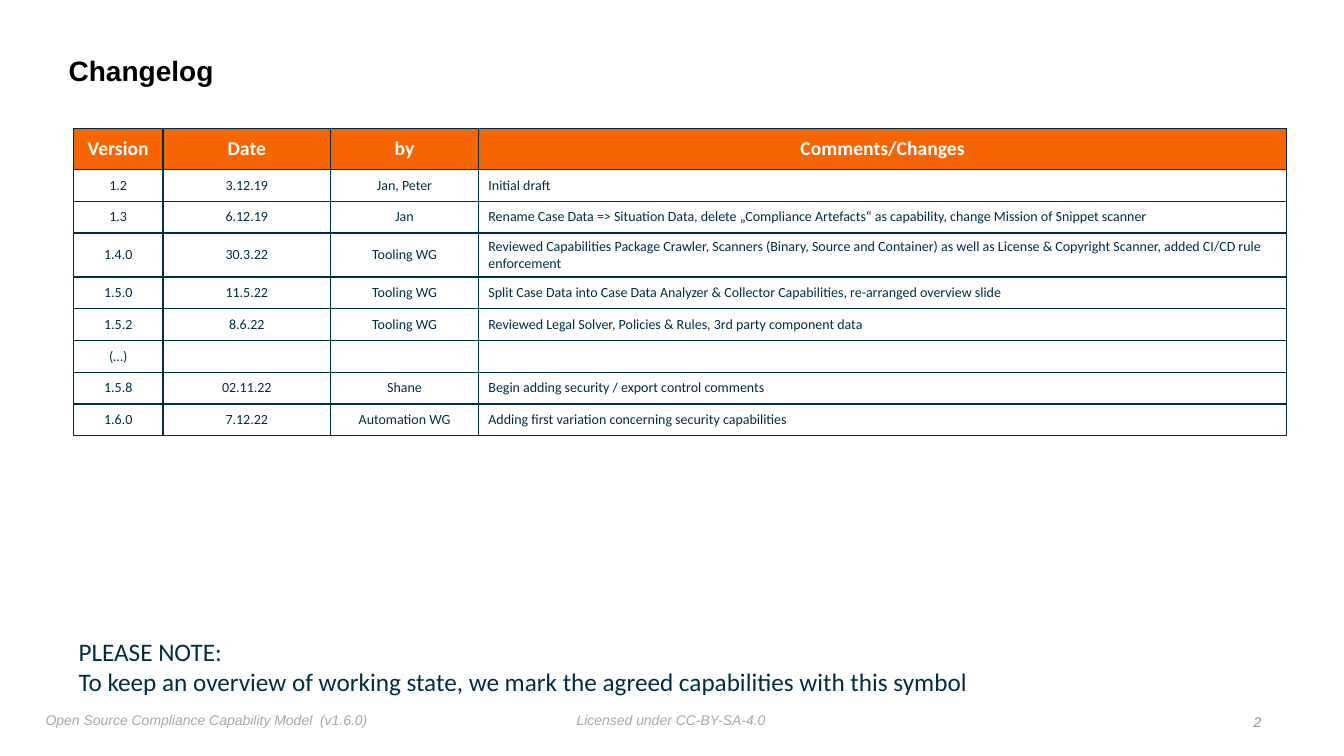
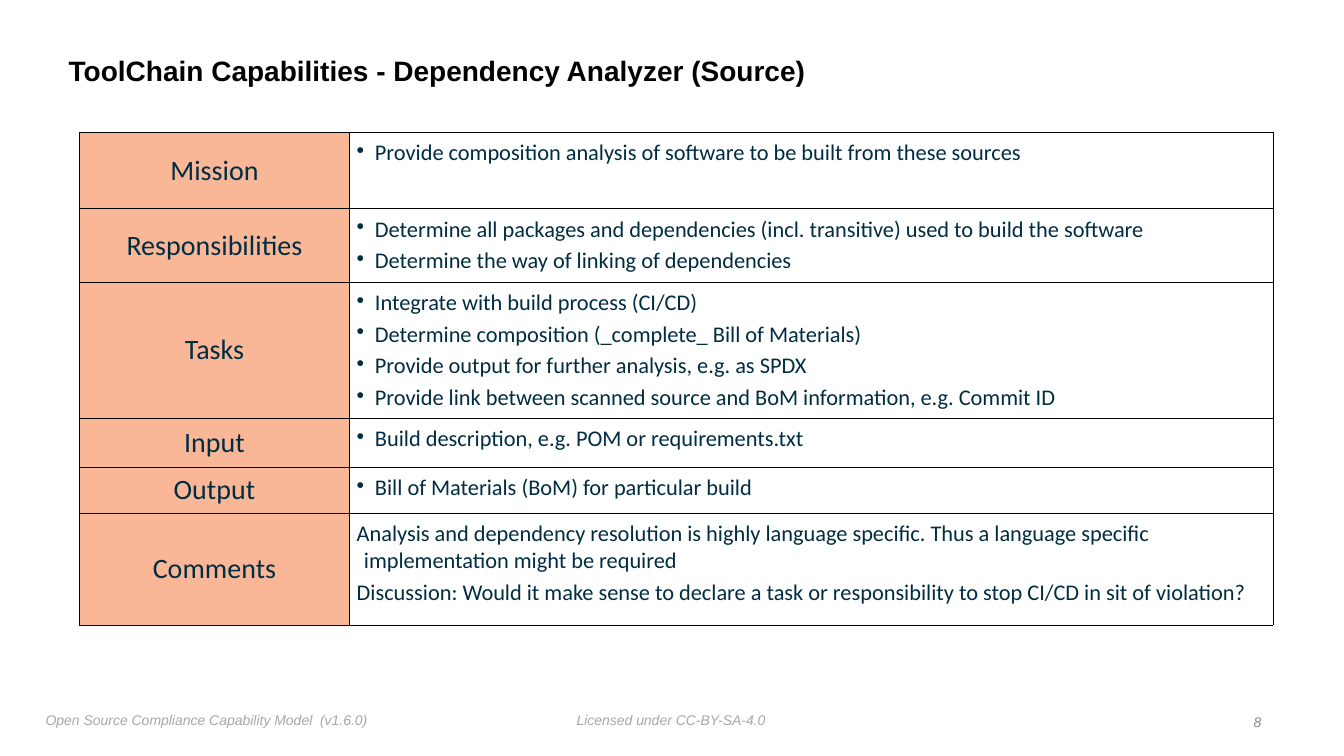
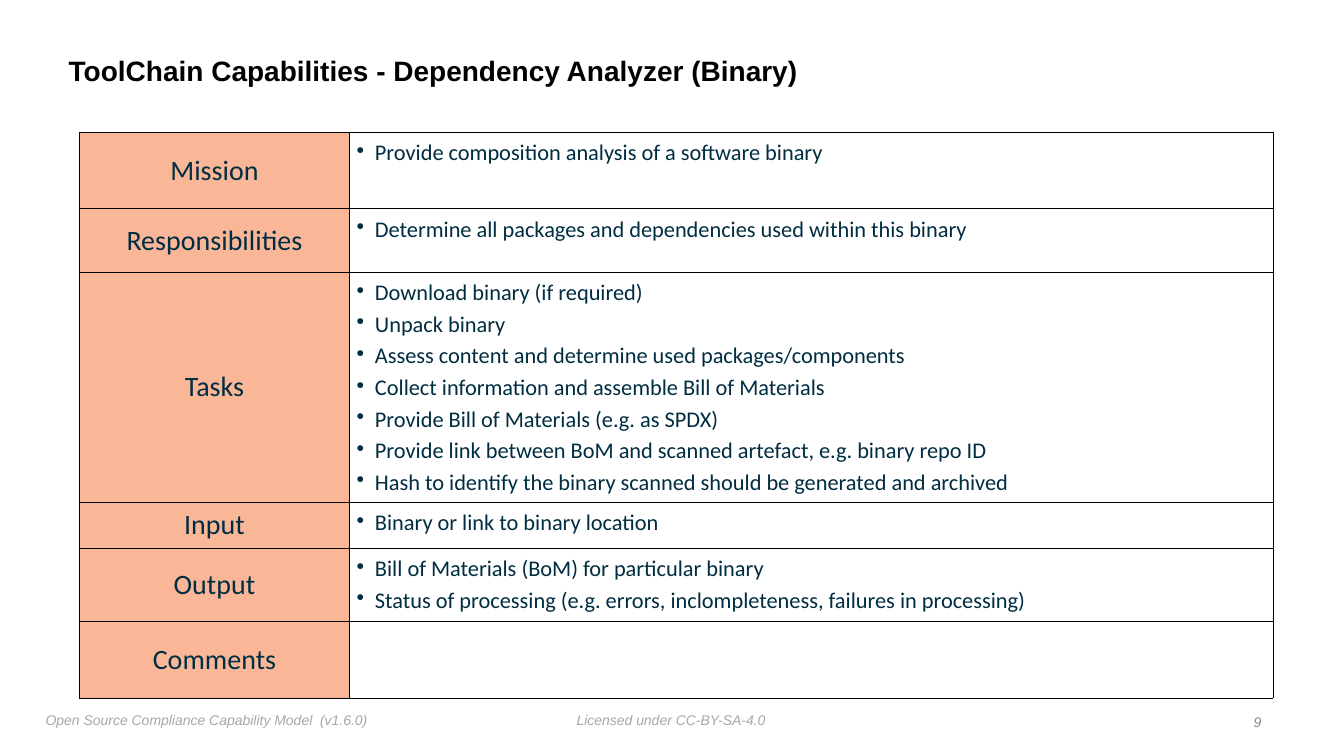
import pptx
import pptx.dml.color
import pptx.enum.text
import pptx.oxml
import pptx.oxml.ns
import pptx.util
from lxml import etree

Cm = pptx.util.Cm
Pt = pptx.util.Pt
ALIGN = pptx.enum.text.PP_ALIGN
ANCHOR = pptx.enum.text.MSO_ANCHOR

# Shared style
NAVY = "002D41"
ORANGE = "F76503"
PEACH = "FAB798"
BLACK = "000000"
WHITE = "FFFFFF"
FOOTER_GREY = "A7A7A7"
NUMBER_GREY = "888C91"
HEADING_FONT = "Arial"
BODY_FONT = "Calibri"
BOX_INSET = 0.13

CHANGELOG_COLUMNS = [2.26, 4.22, 3.73, 20.37]
CHANGELOG_HEADER = ["Version", "Date", "by", "Comments/Changes"]
CHANGELOG = [
    ["1.2", "3.12.19", "Jan, Peter", "Initial draft"],
    ["1.3", "6.12.19", "Jan",
     "Rename Case Data => Situation Data, delete „Compliance Artefacts“ as capability, "
     "change Mission of Snippet scanner"],
    ["1.4.0", "30.3.22", "Tooling WG",
     "Reviewed Capabilities Package Crawler, Scanners (Binary, Source and Container) as well as "
     "License & Copyright Scanner, added CI/CD rule enforcement"],
    ["1.5.0", "11.5.22", "Tooling WG",
     "Split Case Data into Case Data Analyzer & Collector Capabilities, re-arranged overview slide"],
    ["1.5.2", "8.6.22", "Tooling WG",
     "Reviewed Legal Solver, Policies & Rules, 3rd party component data"],
    ["(…)", "", "", ""],
    ["1.5.8", "02.11.22", "Shane", "Begin adding security / export control comments"],
    ["1.6.0", "7.12.22", "Automation WG", "Adding first variation concerning security capabilities"],
]
NOTE = ("PLEASE NOTE:\n"
        "To keep an overview of working state, we mark the agreed capabilities with this symbol")

CAPABILITY_COLUMNS = [6.81, 23.27]
# Each row: label, height, entries
SOURCE_ANALYZER = [
    ("Mission", 1.93, ["Provide composition analysis of software to be built from these sources"]),
    ("Responsibilities", 1.85, [
        "Determine all packages and dependencies (incl. transitive) used to build the software",
        "Determine the way of linking of dependencies"]),
    ("Tasks", 3.43, [
        "Integrate with build process (CI/CD)",
        "Determine composition (_complete_ Bill of Materials)",
        "Provide output for further analysis, e.g. as SPDX",
        "Provide link between scanned source and BoM information, e.g. Commit ID"]),
    ("Input", 1.24, ["Build description, e.g. POM or requirements.txt"]),
    ("Output", 1.15, ["Bill of Materials (BoM) for particular build"]),
    ("Comments", 2.82, [
        "Analysis and dependency resolution is highly language specific. "
        "Thus a language specific implementation might be required",
        "Discussion: Would it make sense to declare a task or responsibility "
        "to stop CI/CD in sit of violation?"]),
]
BINARY_ANALYZER = [
    ("Mission", 1.93, ["Provide composition analysis of a software binary"]),
    ("Responsibilities", 1.6, ["Determine all packages and dependencies used within this binary"]),
    ("Tasks", 5.8, [
        "Download binary (if required)",
        "Unpack binary",
        "Assess content and determine used packages/components",
        "Collect information and assemble Bill of Materials",
        "Provide Bill of Materials (e.g. as SPDX)",
        "Provide link between BoM and scanned artefact, e.g. binary repo ID",
        "Hash to identify the binary scanned should be generated and archived"]),
    ("Input", 1.15, ["Binary or link to binary location"]),
    ("Output", 1.85, [
        "Bill of Materials (BoM) for particular binary",
        "Status of processing (e.g. errors, inclompleteness, failures in processing)"]),
    ("Comments", 1.93, [""]),
]


def color(hex_string):
    return pptx.dml.color.RGBColor.from_string(hex_string)


def write_text(frame, lines, size=10, font=BODY_FONT, fill=NAVY, bold=False, italic=False,
               align=ALIGN.LEFT, line_spacing=None, space_before=0, hanging=0, bullet=None):
    """Write one paragraph for each line, all in the same format."""
    for index, line in enumerate(lines):
        paragraph = frame.paragraphs[0] if index == 0 else frame.add_paragraph()
        paragraph.text = line
        paragraph.alignment = align
        if line_spacing:
            paragraph.line_spacing = line_spacing
        if index and space_before:
            paragraph.space_before = Pt(space_before)
        properties = paragraph._p.get_or_add_pPr()
        if hanging:
            properties.set("marL", str(Cm(hanging)))
            properties.set("indent", str(-Cm(hanging)))
        if bullet:
            etree.SubElement(properties, pptx.oxml.ns.qn("a:buChar")).set("char", bullet)
        for run in paragraph.runs:
            run.font.size = Pt(size)
            run.font.name = font
            run.font.bold = bold
            run.font.italic = italic
            run.font.color.rgb = color(fill)
        if not line:
            # Keeps an empty cell from growing
            paragraph._p.get_or_add_endParaRPr().set("sz", str(size * 100))


def set_insets(target, horizontal, vertical):
    target.margin_left = target.margin_right = Cm(horizontal)
    target.margin_top = target.margin_bottom = Cm(vertical)


def add_text(slide, box, text, anchor=ANCHOR.TOP, **text_format):
    frame = slide.shapes.add_textbox(*map(Cm, box)).text_frame
    frame.word_wrap = True
    frame.vertical_anchor = anchor
    set_insets(frame, BOX_INSET, BOX_INSET)
    write_text(frame, [text], **text_format)


def add_grid(slide, left, top, columns, heights):
    """Add a plain table with the given column widths and row heights."""
    shape = slide.shapes.add_table(len(heights), len(columns), Cm(left), Cm(top),
                                   Cm(sum(columns)), Cm(sum(heights)))
    table = shape.table
    table.first_row = table.horz_banding = False
    for column, width in zip(table.columns, columns):
        column.width = Cm(width)
    for row, height in zip(table.rows, heights):
        row.height = Cm(height)
    return table


def fill_cell(cell, lines, border, border_width, fill=None, anchor=ANCHOR.MIDDLE,
              insets=(0.25, 0.13), **text_format):
    properties = cell._tc.get_or_add_tcPr()
    for side in ("lnL", "lnR", "lnT", "lnB"):
        properties.append(pptx.oxml.parse_xml(
            f'<a:{side} {pptx.oxml.ns.nsdecls("a")} w="{Pt(border_width)}">'
            f'<a:solidFill><a:srgbClr val="{border}"/></a:solidFill></a:{side}>'))
    if fill:
        cell.fill.solid()
        cell.fill.fore_color.rgb = color(fill)
    else:
        cell.fill.background()
    cell.vertical_anchor = anchor
    set_insets(cell, *insets)
    write_text(cell.text_frame, lines, **text_format)


def add_footer(slide, number):
    footer_format = dict(font=HEADING_FONT, fill=FOOTER_GREY, italic=True)
    add_text(slide, (14.4, 17.81, 5.5, 0.64), "Licensed under CC-BY-SA-4.0", **footer_format)
    add_text(slide, (1.02, 17.81, 9, 0.64),
             "Open Source Compliance Capability Model  (v1.6.0)", **footer_format)
    footer_format["fill"] = NUMBER_GREY
    add_text(slide, (30.9, 17.86, 1.02, 0.64), str(number), anchor=ANCHOR.MIDDLE,
             align=ALIGN.RIGHT, **footer_format)


def add_titled_slide(presentation, title_text, number):
    slide = presentation.slides.add_slide(presentation.slide_layouts[5])
    title = slide.shapes.title
    title.left, title.top, title.width, title.height = map(Cm, (1.6, 0.99, 27.31, 1.65))
    frame = title.text_frame
    frame.auto_size = pptx.enum.text.MSO_AUTO_SIZE.NONE
    frame.vertical_anchor = ANCHOR.MIDDLE
    set_insets(frame, BOX_INSET, BOX_INSET)
    write_text(frame, [title_text], size=20, font=HEADING_FONT, fill=BLACK, bold=True,
               line_spacing=0.9)
    add_footer(slide, number)
    return slide


def add_changelog(slide, left, top):
    heights = [1.04] + [0.8] * len(CHANGELOG)
    heights[3] = 1.11  # two lines of text
    table = add_grid(slide, left, top, CHANGELOG_COLUMNS, heights)
    for row_index, row in enumerate([CHANGELOG_HEADER] + CHANGELOG):
        for column_index, text in enumerate(row):
            is_header = row_index == 0
            is_comment = column_index == 3 and not is_header
            cell_format = dict(size=14, fill=ORANGE, bold=True) if is_header else {}
            text_color = WHITE if is_header else NAVY
            add_changelog_cell(table.cell(row_index, column_index), text, text_color,
                               ALIGN.LEFT if is_comment else ALIGN.CENTER, cell_format)


def add_changelog_cell(cell, text, text_color, align, cell_format):
    fill_cell(cell, [text], NAVY, 1, align=align, **cell_format)
    for run in cell.text_frame.paragraphs[0].runs:
        run.font.color.rgb = color(text_color)


def add_capability(slide, left, top, rows):
    """Add the labelled rows that describe one capability."""
    table = add_grid(slide, left, top, CAPABILITY_COLUMNS, [height for _, height, _ in rows])
    for index, (label, _, entries) in enumerate(rows):
        fill_cell(table.cell(index, 0), [label], BLACK, 0.5, fill=PEACH, insets=(0, 0),
                  size=20, align=ALIGN.CENTER)
        is_comment = label == "Comments"
        fill_cell(table.cell(index, 1), entries, BLACK, 0.5, anchor=ANCHOR.TOP,
                  insets=(0.18, 0.18), size=16, space_before=3,
                  hanging=0.18 if is_comment else 0.46, bullet=None if is_comment else "•")


def main():
    presentation = pptx.Presentation()
    presentation.slide_width = Cm(33.87)
    presentation.slide_height = Cm(19.05)

    # Changelog
    slide = add_titled_slide(presentation, "Changelog", 2)
    add_changelog(slide, 1.85, 3.23)
    add_text(slide, (1.85, 15.9, 25.6, 1.8), NOTE, size=18)

    # Capabilities
    for number, variant, rows in ((8, "Source", SOURCE_ANALYZER), (9, "Binary", BINARY_ANALYZER)):
        slide = add_titled_slide(
            presentation, f"ToolChain Capabilities - Dependency Analyzer ({variant})", number)
        add_capability(slide, 2, 3.33, rows)

    presentation.save("out.pptx")


if __name__ == "__main__":
    main()
